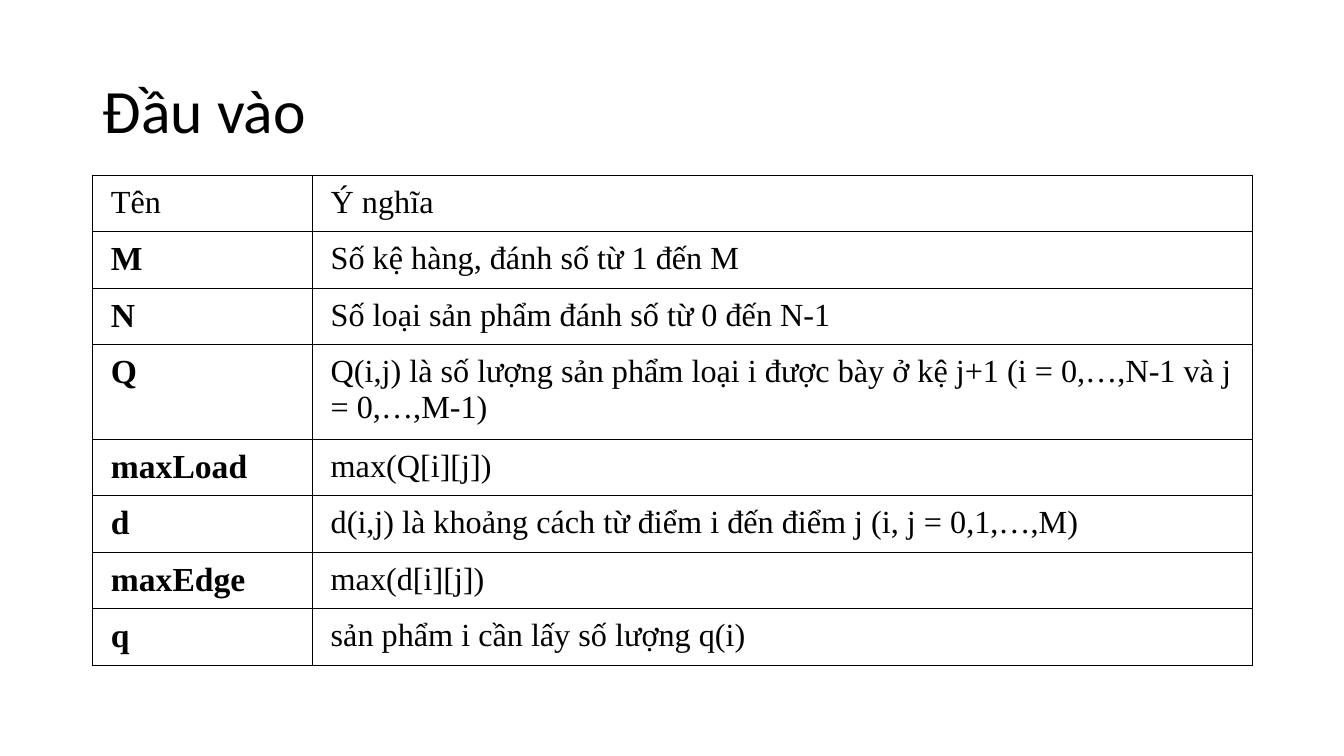
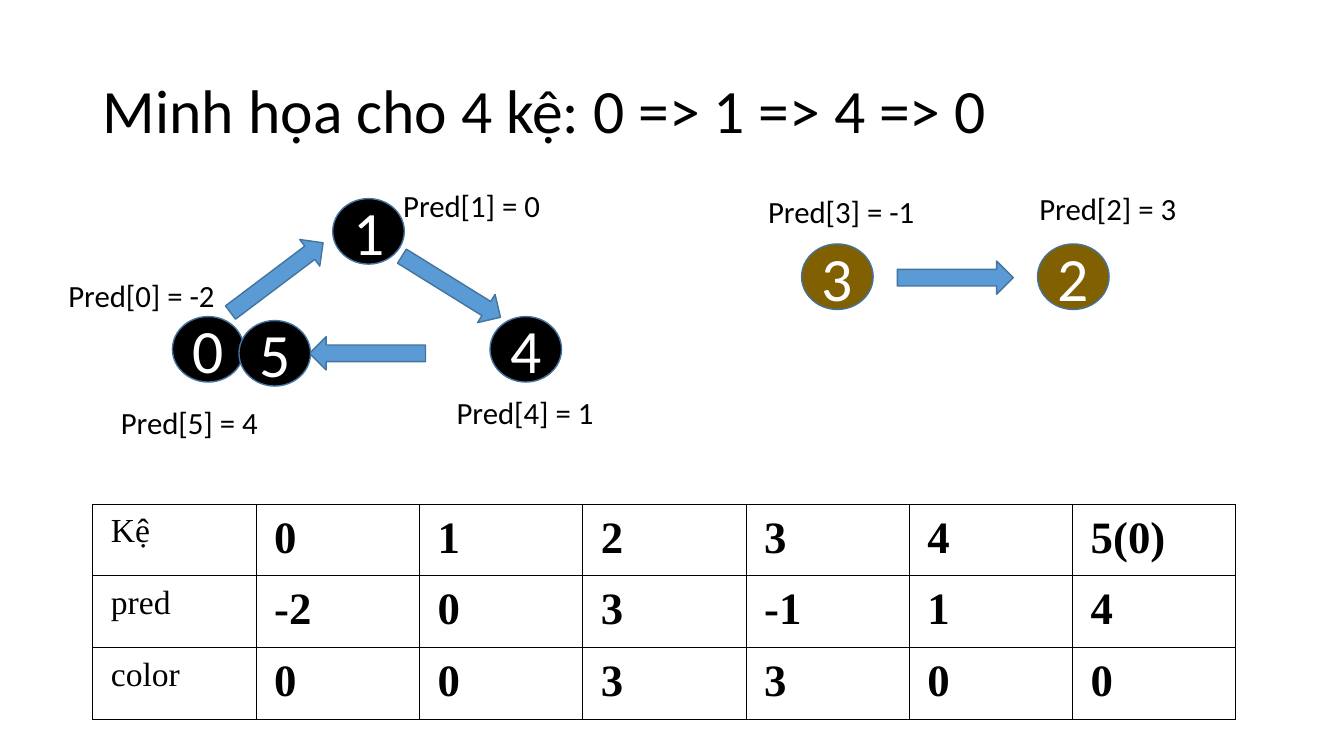
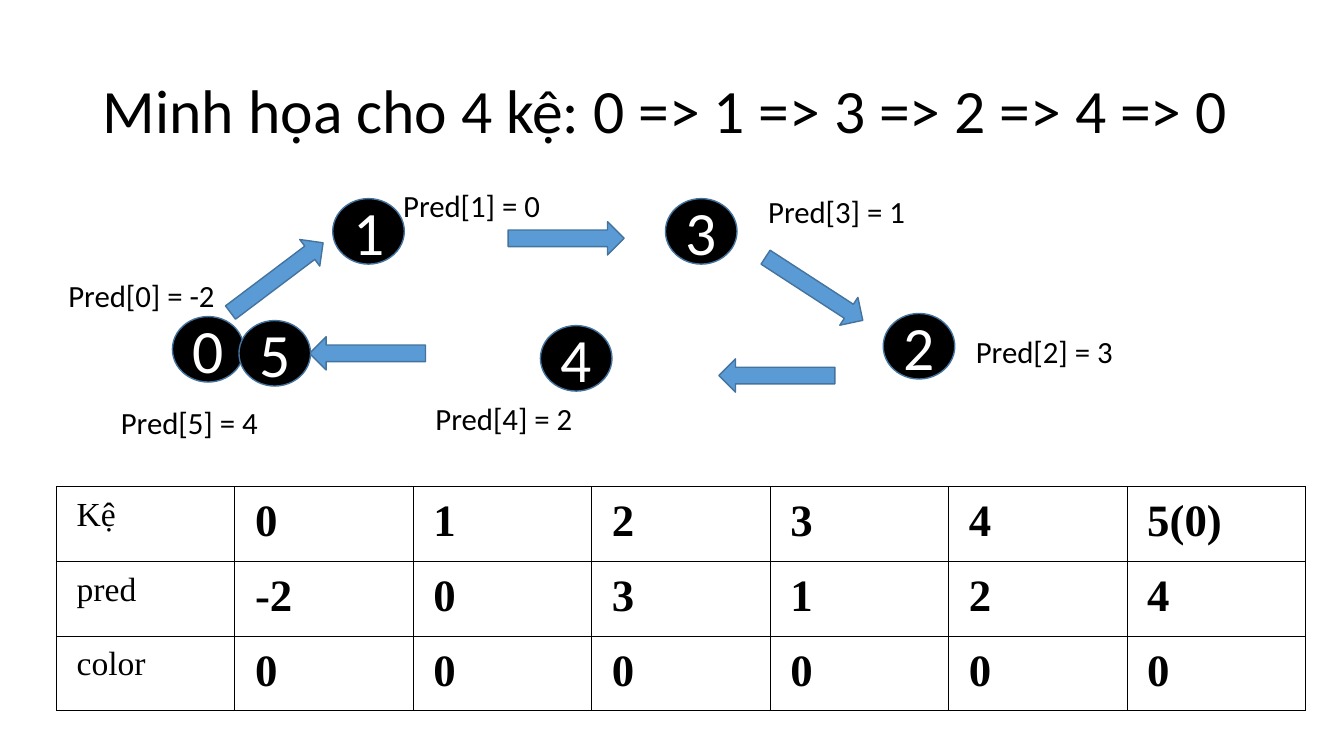
from lxml.etree import SubElement
from pptx import Presentation
from pptx.dml.color import RGBColor
from pptx.enum.shapes import MSO_SHAPE as Preset
from pptx.enum.text import MSO_ANCHOR as Anchor, MSO_AUTO_SIZE as AutoSize, PP_ALIGN as Align
from pptx.oxml.ns import qn
from pptx.util import Inches, Pt

# Shared look
rgb = RGBColor.from_string
BLACK, WHITE, BROWN = "000000", "FFFFFF", "806000"
ARROW_BLUE, OUTLINE = "5B9BD5", "43739E"
SANS, SERIF = "Calibri", "Times New Roman"
NODE_W, NODE_H = 0.71, 0.65
ARROW_W, ARROW_H = 1.15, 0.33


def write(frame, text, size, font=SANS, color=BLACK, bold=False, align=Align.LEFT):
    paragraph = frame.paragraphs[0]
    paragraph.alignment = align
    run = paragraph.add_run()
    run.text = text
    run.font.name, run.font.size, run.font.bold = font, Pt(size), bold
    run.font.color.rgb = rgb(color)
    return paragraph


def add_grid(slide, left, top, widths, heights, inset, rows):
    """Add a ruled table; each cell of rows is (text, size, bold)."""
    grid = slide.shapes.add_table(len(rows), len(widths), Inches(left), Inches(top),
                                  Inches(sum(widths)), Inches(sum(heights))).table
    grid.first_row = grid.horz_banding = False
    for column, width in zip(grid.columns, widths):
        column.width = Inches(width)
    for r, row in enumerate(rows):
        grid.rows[r].height = Inches(heights[r])
        for c, (text, size, bold) in enumerate(row):
            cell = grid.cell(r, c)
            cell.margin_left = cell.margin_right = Inches(inset)
            cell.margin_top = cell.margin_bottom = Inches(inset / 2)
            write(cell.text_frame, text, size, SERIF, bold=bold)
            properties = cell._tc.get_or_add_tcPr()
            for side in ("a:lnL", "a:lnR", "a:lnT", "a:lnB"):
                border = SubElement(properties, qn(side), w=str(Pt(0.75)))
                fill = SubElement(border, qn("a:solidFill"))
                SubElement(fill, qn("a:srgbClr"), val=BLACK)
            cell.fill.background()


deck = Presentation()
deck.slide_width, deck.slide_height = Inches(13.33), Inches(7.5)

# Title place, set once on the layout
title_only = deck.slide_layouts[5]
title_place = title_only.placeholders[0]
title_place.left, title_place.top = Inches(0.92), Inches(0.4)
title_place.width, title_place.height = Inches(11.5), Inches(1.45)

# Slides with their titles
slides = []
for heading in ("Đầu vào",
                "Minh họa cho 4 kệ: 0 => 1 => 4 => 0",
                "Minh họa cho 4 kệ: 0 => 1 => 3 => 2 => 4 => 0"):
    slide = deck.slides.add_slide(title_only)
    title_frame = slide.shapes.title.text_frame
    title_frame.vertical_anchor = Anchor.MIDDLE
    title_frame.auto_size = AutoSize.NONE
    write(title_frame, heading, 44).line_spacing = 0.9
    slides.append(slide)
input_slide, *tour_slides = slides

# Input table
inputs = [
    ("M", "Số kệ hàng, đánh số từ 1 đến M"),
    ("N", "Số loại sản phẩm đánh số từ 0 đến N-1"),
    ("Q", "Q(i,j) là số lượng sản phẩm loại i được bày ở kệ j+1 "
          "(i = 0,…,N-1 và j = 0,…,M-1)"),
    ("maxLoad", "max(Q[i][j])"),
    ("d", "d(i,j) là khoảng cách từ điểm i đến điểm j (i, j = 0,1,…,M)"),
    ("maxEdge", "max(d[i][j])"),
    ("q", "sản phẩm i cần lấy số lượng q(i)"),
]
input_rows = [[("Tên", 23, False), ("Ý nghĩa", 23, False)]]
input_rows += [[(name, 24, True), (meaning, 23, False)] for name, meaning in inputs]
row_heights = [0.94 if name == "Q" else 0.56 for name in ["Tên"] + [i[0] for i in inputs]]
add_grid(input_slide, 0.92, 1.74, [2.18, 9.32], row_heights, 0.18, input_rows)

# Tours: nodes and labels are placed by shelf number, arrows as (left, top, angle)
shared_arrows = [(2.17, 2.59, 323), (3.07, 3.34, 180)]
tours = [
    dict(pred=[-2, 0, 3, -1, 1, 4], color=[0, 0, 3, 3, 0, 0],
         nodes=[(1.71, 3.14), (3.3, 1.97), (10.29, 2.42), (7.95, 2.42), (4.86, 3.14), (2.37, 3.18)],
         labels=[(0.58, 2.7), (3.9, 1.8), (10.21, 1.83), (7.52, 1.86), (4.43, 3.86), (1.1, 3.96)],
         arrows=[(3.9, 2.68, 31.8), (8.9, 2.59, 0)],
         grid=(0.92, 5, [1.62] * 7, [0.67] * 3, 0.18)),
    dict(pred=[-2, 0, 3, 1, 2, 4], color=[0, 0, 0, 0, 0, 0],
         nodes=[(1.71, 3.14), (3.3, 1.97), (8.76, 3.11), (6.6, 1.97), (5.36, 3.23), (2.37, 3.18)],
         labels=[(0.58, 2.7), (3.9, 1.8), (9.58, 3.25), (7.52, 1.86), (4.22, 3.92), (1.1, 3.96)],
         arrows=[(5.04, 2.2, 0), (7.5, 2.7, 33), (7.13, 3.56, 180)],
         grid=(0.56, 4.83, [1.77] * 7, [0.74] * 3, 0.2)),
]
node_fills = {0: BLACK, 3: BROWN}

for slide, tour in zip(tour_slides, tours):
    # Arrows
    for left, top, angle in shared_arrows + tour["arrows"]:
        arrow = slide.shapes.add_shape(Preset.RIGHT_ARROW, Inches(left), Inches(top),
                                       Inches(ARROW_W), Inches(ARROW_H))
        arrow.rotation = angle
        arrow.shadow.inherit = False
        arrow.fill.solid()
        arrow.fill.fore_color.rgb = rgb(ARROW_BLUE)
        arrow.line.color.rgb, arrow.line.width = rgb(OUTLINE), Pt(1)

    # Predecessor labels
    for shelf, (left, top) in enumerate(tour["labels"]):
        pred = tour["pred"][shelf]
        width = 1.67 if pred < 0 else 1.58
        label = slide.shapes.add_textbox(Inches(left), Inches(top), Inches(width), Inches(0.47))
        label.text_frame.word_wrap = False
        label.text_frame.auto_size = AutoSize.SHAPE_TO_FIT_TEXT
        write(label.text_frame, f"Pred[{shelf}] = {pred}", 22)

    # Shelf nodes, filled by their component colour
    for shelf, (left, top) in enumerate(tour["nodes"]):
        node = slide.shapes.add_shape(Preset.OVAL, Inches(left), Inches(top),
                                      Inches(NODE_W), Inches(NODE_H))
        node.shadow.inherit = False
        node.fill.solid()
        node.fill.fore_color.rgb = rgb(node_fills[tour["color"][shelf]])
        node.line.color.rgb, node.line.width = rgb(OUTLINE), Pt(1)
        node.text_frame.vertical_anchor = Anchor.MIDDLE
        write(node.text_frame, str(shelf), 44, color=WHITE, align=Align.CENTER)

    # State table
    states = [("Kệ", [0, 1, 2, 3, 4, "5(0)"]), ("pred", tour["pred"]), ("color", tour["color"])]
    state_rows = [[(name, 24, False)] + [(str(value), 32, True) for value in values]
                  for name, values in states]
    add_grid(slide, *tour["grid"], state_rows)

deck.save("out.pptx")
